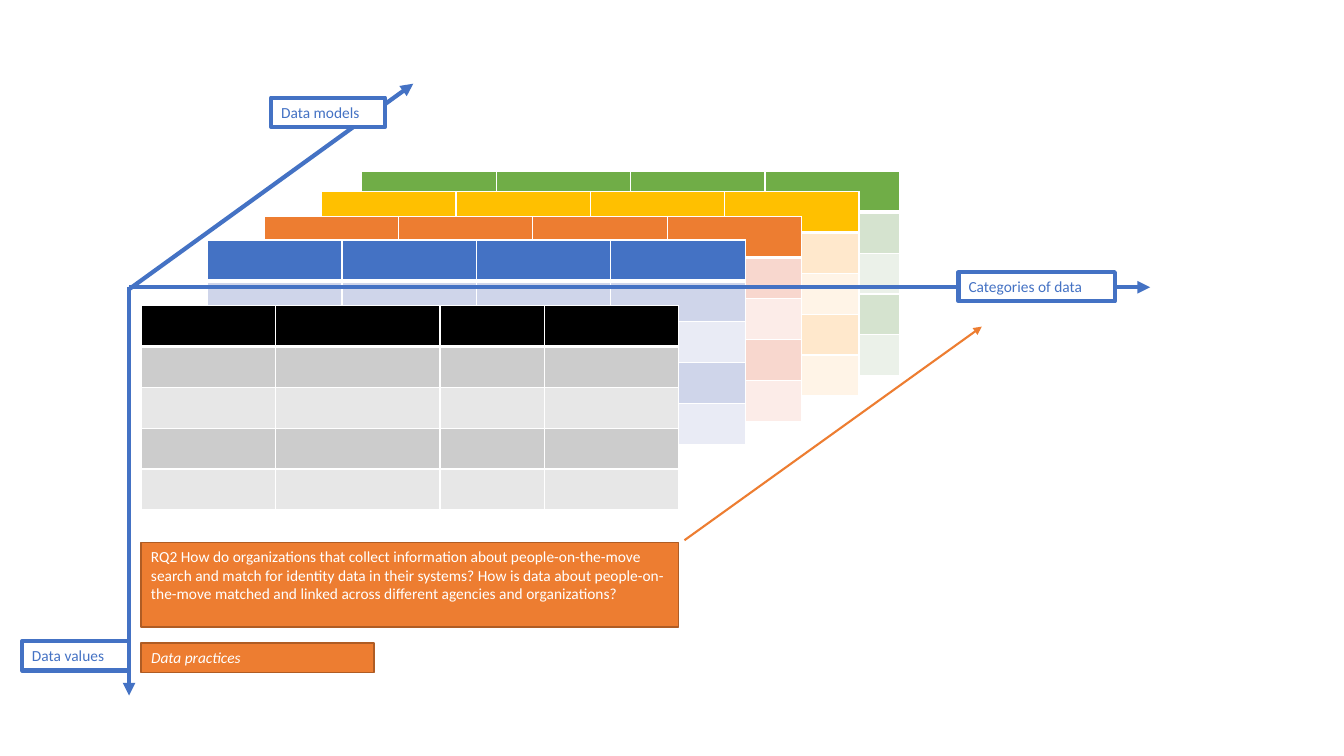
import pptx
import pptx.util
import pptx.dml.color
import pptx.enum.shapes
import pptx.enum.text
import pptx.oxml
import pptx.oxml.ns

Pt = pptx.util.Pt

INK = {
    "white": "FFFFFF",
    "blue": "4472C4",
    "orange": "ED7D31",
    "rust": "AF5C24",
}

GRIDS = [
    (258.5, 122.4, "70AD47", "D5E3CF", "EBF1E9", [96] * 4),
    (229.7, 136.8, "FFC000", "FFE8CC", "FFF4E7", [96] * 4),
    (188.6, 154.8, "ED7D31", "F8D7CE", "FCECE8", [96] * 4),
    (148.3, 171.4, "4472C4", "CFD5EA", "E9EBF5", [96] * 4),
    (100.8, 218.2, "000000", "CCCCCC", "E7E7E7", [96, 117.5, 74.5, 96]),
]

LABELS = [
    ("Data models", 193.7, 69.8, 81.4),
    ("Data values", 15.8, 458, 76.3),
    ("Categories of data", 684.7, 194.4, 111.6),
]

QUESTION = (
    "RQ2 How do organizations that collect information about "
    "people-on-the-move search and match for identity data in their systems? "
    "How is data about people-on-the-move matched and linked across different "
    "agencies and organizations?"
)


def tone(code):
    return pptx.dml.color.RGBColor.from_string(code)


class Board:
    font = "Calibri"
    size = 11
    rows = 5
    pitch = 29.2

    def __init__(self, deck):
        self.slide = deck.slides.add_slide(deck.slide_layouts[6])
        self.shapes = self.slide.shapes

    def arrow(self, start, end, ink, width):
        line = self.shapes.add_connector(
            pptx.enum.shapes.MSO_CONNECTOR.STRAIGHT,
            *(Pt(v) for v in (*start, *end)))
        line.line.color.rgb = tone(INK[ink])
        line.line.width = Pt(width)
        tail = pptx.oxml.ns.qn("a:tailEnd")
        line.line._get_or_add_ln().makeelement(tail)
        head = pptx.oxml.parse_xml(
            f'<a:tailEnd {pptx.oxml.ns.nsdecls("a")} type="triangle"/>')
        line.line._get_or_add_ln().append(head)
        line._element.spPr.append(pptx.oxml.parse_xml(
            f'<a:effectLst {pptx.oxml.ns.nsdecls("a")}/>'))

    def box(self, text, left, top, width, height, fill, edge, weight, ink,
            slant=False):
        box = self.shapes.add_shape(
            pptx.enum.shapes.MSO_SHAPE.RECTANGLE,
            Pt(left), Pt(top), Pt(width), Pt(height))
        box.shadow.inherit = False
        box.fill.solid()
        box.fill.fore_color.rgb = tone(INK[fill])
        box.line.color.rgb = tone(INK[edge])
        box.line.width = Pt(weight)
        frame = box.text_frame
        frame.word_wrap = True
        frame.vertical_anchor = pptx.enum.text.MSO_ANCHOR.TOP
        para = frame.paragraphs[0]
        para.text = text
        para.alignment = pptx.enum.text.PP_ALIGN.LEFT
        para.font.name = self.font
        para.font.size = Pt(self.size)
        para.font.italic = slant
        para.font.color.rgb = tone(INK[ink])

    def label(self, text, left, top, width):
        self.box(text, left, top, width, 20.9, "white", "blue", 3, "blue")

    def note(self, text, left, top, width, height, slant=False):
        self.box(text, left, top, width, height, "orange", "rust", 1,
                 "white", slant)

    def border(self, cell, row):
        props = cell._tc.get_or_add_tcPr()
        widths = {"L": 1, "R": 1, "T": 3 if row == 1 else 1,
                  "B": 3 if row == 0 else 1}
        for spot, (side, width) in enumerate(widths.items()):
            props.insert(spot, pptx.oxml.parse_xml(
                f'<a:ln{side} {pptx.oxml.ns.nsdecls("a")} w="{Pt(width)}">'
                f'<a:solidFill><a:srgbClr val="{INK["white"]}"/></a:solidFill>'
                f'</a:ln{side}>'))

    def grid(self, left, top, head, dark, light, widths):
        table = self.shapes.add_table(
            self.rows, len(widths), Pt(left), Pt(top),
            Pt(sum(widths)), Pt(self.rows * self.pitch)).table
        table.horz_banding = False
        for col, width in zip(table.columns, widths):
            col.width = Pt(width)
        for spot, row in enumerate(table.rows):
            row.height = Pt(self.pitch)
            fill = head if spot == 0 else dark if spot % 2 else light
            for cell in row.cells:
                cell.fill.solid()
                cell.fill.fore_color.rgb = tone(fill)
                self.border(cell, spot)


def main():
    deck = pptx.Presentation()
    deck.slide_width = Pt(960)
    deck.slide_height = Pt(540)
    board = Board(deck)
    board.arrow((488.9, 385.9), (701.3, 233.3), "orange", 1.5)
    board.arrow((92.2, 205.2), (92.2, 496.8), "blue", 3)
    for grid in GRIDS:
        board.grid(*grid)
    board.arrow((92.2, 206.6), (295.2, 59.8), "blue", 3)
    board.arrow((92.2, 205.2), (821.5, 205.2), "blue", 3)
    board.note("Data practices", 100.8, 459.4, 166.3, 20.9, slant=True)
    for label in LABELS:
        board.label(*label)
    board.note(QUESTION, 100.8, 387.4, 383.8, 60.5)
    deck.save("out.pptx")


if __name__ == "__main__":
    main()
